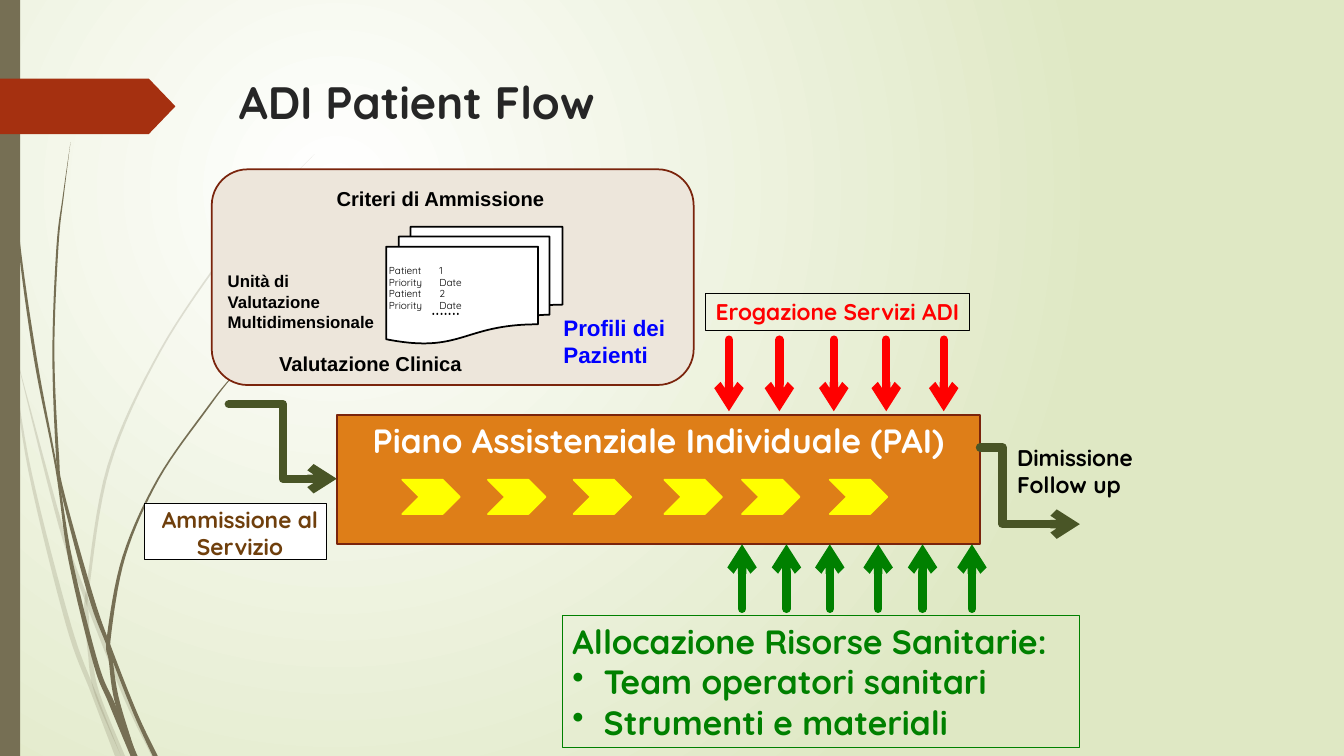
from itertools import chain
from lxml.etree import SubElement
from pptx import Presentation
from pptx.dml.color import RGBColor
from pptx.enum.shapes import MSO_CONNECTOR as Link, MSO_SHAPE as Shape
from pptx.enum.text import MSO_ANCHOR as Anchor, PP_ALIGN as Align
from pptx.oxml.ns import qn
from pptx.util import Inches, Pt

COLUMNS, ROWS = 13.33, 7.5
SANS, ROUND = "Arial", "Quicksand"
COLORS = {
    "white": "FFFFFF", "black": "000000", "ink": "262626", "sage": "DFE8C4",
    "stem": "766F54", "flag": "A53010", "panel": "EDE6DB", "rust": "7A240C",
    "orange": "DE7E18", "yellow": "FFFF00", "olive": "495526", "red": "FF0000",
    "green": "008000", "blue": "0000FF", "brown": "6F3F0C",
}

# Each stem point is column, row and thickness.
PALE_STEMS = [
    [(0, 2.9, 0.03), (0.11, 3.5, 0.01), (0.3, 4.69, 0.03), (0.68, 6.2, 0.05),
     (0.93, 6.88, 0.05), (1.17, 7.5, 0.06)],
    [(0.14, 3.45, 0), (0.6, 5.21, 0.04), (0.86, 5.95, 0.04),
     (1.25, 6.93, 0.04), (1.53, 7.5, 0.05)],
    [(3.12, 1.53, 0), (2.68, 1.98, 0.01), (2.28, 2.45, 0.02), (1.59, 3.48, 0.02),
     (1.08, 4.62, 0.03), (0.87, 5.84, 0.03), (0.86, 6.1, 0.04),
     (0.89, 6.46, 0.04), (0.96, 6.87, 0.05), (1.22, 7.5, 0.04)],
]
DARK_STEMS = [
    [(0.03, 0, 0.01), (0.05, 0.48, 0.01), (0.08, 1.1, 0.01), (0.18, 2.33, 0.02),
     (0.35, 3.55, 0.03), (0.56, 4.65, 0.02), (0.7, 5.56, 0.04),
     (0.95, 6.58, 0.05), (1.11, 6.98, 0.06), (1.33, 7.5, 0.07)],
    [(0.7, 1.41, 0), (0.63, 1.93, 0.01), (0.57, 2.45, 0.02), (0.53, 3.49, 0.02),
     (0.57, 4.51, 0.03), (0.62, 4.88, 0.03), (0.9, 5.91, 0.05),
     (1.08, 6.41, 0.04), (1.34, 7.07, 0.04), (1.54, 7.5, 0.05)],
    [(2.6, 3.44, 0), (2.31, 3.73, 0.01), (2.05, 4.06, 0.02), (1.57, 4.75, 0.02),
     (1.23, 5.52, 0.03), (1.08, 6.32, 0.04), (1.1, 6.56, 0.04),
     (1.16, 6.95, 0.05), (1.33, 7.5, 0.05)],
]

LABELS = [
    ((2.27, 0.69, 8.1, 0.6), ["ADI Patient Flow"], 32.4, ROUND, "ink", True),
    ((2.16, 2.64, 1.68, 0.71), ["Unità di Valutazione Multidimensionale"], 12, SANS, "black", True),
    ((4.18, 2.86, 0.64, 0.73), ["......."], 16.2, ROUND, "black", False),
    ((5.49, 3.07, 1.23, 0.64), ["Profili dei Pazienti"], 16, SANS, "blue", True),
    ((2.67, 3.44, 2.03, 0.34), ["Valutazione Clinica"], 14.4, SANS, "black", True),
    ((3.24, 1.8, 2.28, 0.34), ["Criteri di Ammissione"], 14.4, SANS, "black", True),
    ((9.99, 4.35, 1.37, 0.65), ["Dimissione", "Follow up"], 16.2, ROUND, "black", True),
]
WAITING_LIST = [
    ((3.76, 2.57, 1.5, 0.25), "Patient\t1\tPriority\tDate", (0.37, 0.46, 0.87)),
    ((3.76, 2.8, 1.5, 0.25), "Patient\t2\tPriority\tDate", (0.37, 0.48, 0.89)),
]
RESOURCES = ["Allocazione Risorse Sanitarie:", "Team operatori sanitari", "Strumenti e materiali"]
STEP_COLUMNS = [3.99, 4.84, 5.69, 6.59, 7.36, 8.23]
SERVICE_COLUMNS = [7.23, 7.73, 8.27, 8.79, 9.36]
RESOURCE_COLUMNS = [7.36, 7.8, 8.23, 8.71, 9.15, 9.64]


def color(name):
    return RGBColor.from_string(COLORS[name])


def grid(cells):
    return [Inches(cell) for cell in cells]


def paint(shape, fill=None, line=None, width=1.25):
    shape.shadow.inherit = False
    if fill:
        shape.fill.solid()
        shape.fill.fore_color.rgb = color(fill)
    else:
        shape.fill.background()
    if line:
        shape.line.color.rgb = color(line)
        shape.line.width = Pt(width)
    else:
        shape.line.fill.background()
    return shape


def add_block(page, kind, cells, *style):
    return paint(page.shapes.add_shape(kind, *grid(cells)), *style)


def write(box, lines, size, face, ink, bold=True, align=Align.LEFT, wrap=True):
    frame = box.text_frame
    frame.word_wrap = wrap
    frame.vertical_anchor = Anchor.TOP
    frame.text = "\n".join(lines)
    for para in frame.paragraphs:
        para.alignment = align
        para.font.size = Pt(size)
        para.font.name = face
        para.font.bold = bold
        para.font.color.rgb = color(ink)
    return frame


def add_label(page, cells, *style, **options):
    return write(page.shapes.add_textbox(*grid(cells)), *style, **options)


def add_arrow(page, kind, start, end, ink):
    arrow = page.shapes.add_connector(kind, *grid(start + end))
    arrow.line.color.rgb = color(ink)
    arrow.line.width = Pt(6)
    line = arrow.line._get_or_add_ln()
    line.set("cap", "rnd")
    SubElement(line, qn("a:round"))
    SubElement(line, qn("a:tailEnd"), type="arrow")
    SubElement(arrow._element.spPr, qn("a:effectLst"))
    return arrow


def smooth_points(knots, steps=8):
    padded = [knots[0]] + knots + [knots[-1]]
    for a, b, c, d in zip(padded, padded[1:], padded[2:], padded[3:]):
        for step in range(steps):
            t = step / steps
            yield [(2 * q + (r - p) * t + (2 * p - 5 * q + 4 * r - s) * t ** 2
                    + (3 * q - p - 3 * r + s) * t ** 3) / 2
                   for p, q, r, s in zip(a, b, c, d)]
    yield knots[-1]


def add_stem(page, knots, opacity):
    curve = list(smooth_points(knots))
    left = [grid((x - w / 2, y)) for x, y, w in curve]
    right = [grid((x + w / 2, y)) for x, y, w in reversed(curve)]
    builder = page.shapes.build_freeform(*left[0], scale=1.0)
    builder.add_line_segments(list(chain(left[1:], right)), close=True)
    stem = paint(builder.convert_to_shape(), "stem")
    if opacity < 100:
        tint = stem._element.spPr.find(qn("a:solidFill"))[0]
        SubElement(tint, qn("a:alpha"), val=str(opacity * 1000))


def add_background(page):
    fill = page.background.fill
    fill.gradient()
    for stop, name, position in zip(fill.gradient_stops, ("white", "sage"), (0, 1)):
        stop.color.rgb = color(name)
        stop.position = position
    gradient = page.background._cSld.bg.bgPr.find(qn("a:gradFill"))
    gradient.remove(gradient.find(qn("a:lin")))
    glow = SubElement(gradient, qn("a:path"), path="circle")
    SubElement(glow, qn("a:fillToRect"), l="50000", t="50000", r="100000", b="100000")
    for knots in PALE_STEMS:
        add_stem(page, knots, 20)
    for knots in DARK_STEMS:
        add_stem(page, knots, 100)
    add_block(page, Shape.RECTANGLE, (0, 0, 0.2, ROWS), "stem")
    flag = add_block(page, Shape.PENTAGON, (0, 0.78, 1.74, 0.55), "flag")
    flag.adjustments[0] = 0.48


def add_flow(page):
    add_block(page, Shape.RECTANGLE, (1.43, 4.99, 1.81, 0.56), "white", "black", 0.25)
    add_block(page, Shape.ROUNDED_RECTANGLE, (2.1, 1.68, 4.78, 2.14), "panel", "rust")
    add_block(page, Shape.FLOWCHART_MULTIDOCUMENT, (3.83, 2.25, 1.75, 1.16), "white", "black")
    for cells, lines, *style in LABELS:
        add_label(page, cells, lines, *style)
    for cells, entry, stops in WAITING_LIST:
        box = page.shapes.add_textbox(*grid(cells))
        tabs = SubElement(box.text_frame.paragraphs[0]._p.get_or_add_pPr(), qn("a:tabLst"))
        for stop in stops:
            SubElement(tabs, qn("a:tab"), pos=str(Inches(stop)), algn="l")
        write(box, [entry], 7.2, ROUND, "black", False)

    plan = add_block(page, Shape.RECTANGLE, (3.34, 4.12, 6.38, 1.28), "orange", "rust")
    write(plan, ["Piano Assistenziale Individuale (PAI)"], 24, ROUND, "white", align=Align.CENTER)
    add_arrow(page, Link.ELBOW, (2.27, 4.01), (3.34, 4.75), "olive")
    for column in STEP_COLUMNS:
        add_block(page, Shape.CHEVRON, (column, 4.76, 0.57, 0.34), "yellow", "yellow")
    for column in SERVICE_COLUMNS:
        add_arrow(page, Link.STRAIGHT, (column, 3.37), (column, 4.08), "red")
    services = add_block(page, Shape.RECTANGLE, (7, 2.91, 2.62, 0.37), None, "black", 0.75)
    write(services, ["Erogazione Servizi ADI"], 16.2, ROUND, "red", wrap=False)
    for column in RESOURCE_COLUMNS:
        add_arrow(page, Link.STRAIGHT, (column, 6.04), (column, 5.4), "green")

    resources = add_block(page, Shape.RECTANGLE, (5.58, 6.11, 5.13, 1.31), None, "green", 0.75)
    frame = write(resources, RESOURCES, 24, ROUND, "green")
    for para in frame.paragraphs[1:]:
        props = para._p.get_or_add_pPr()
        props.set("marL", str(Inches(0.31)))
        props.set("indent", str(-Inches(0.31)))
        bullet = SubElement(props, qn("a:buChar"), char="•")
        props.insert(0, bullet)
    discharge = add_arrow(page, Link.ELBOW, (9.72, 4.44), (10.71, 5.2), "olive")
    guides = discharge._element.spPr.find(qn("a:prstGeom")).get_or_add_avLst()
    SubElement(guides, qn("a:gd"), name="adj1", fmla="val 22600")
    add_label(page, (1.43, 4.97, 1.9, 0.65), ["Ammissione al Servizio"], 16.2, ROUND, "brown",
              align=Align.CENTER)


def main():
    deck = Presentation()
    deck.slide_width, deck.slide_height = grid((COLUMNS, ROWS))
    page = deck.slides.add_slide(deck.slide_layouts[6])
    add_background(page)
    add_flow(page)
    deck.save("out.pptx")


if __name__ == "__main__":
    main()
